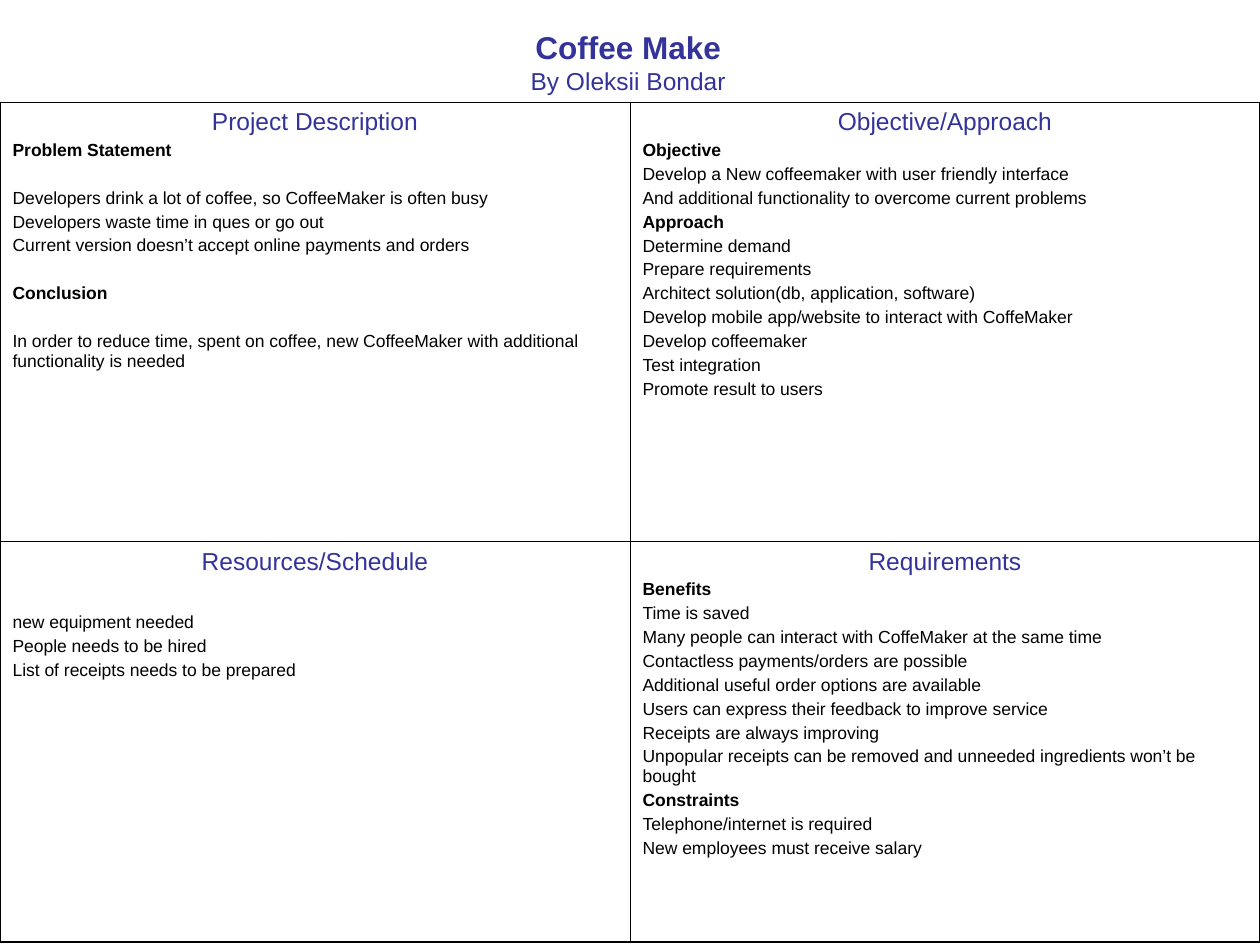
from lxml import etree
from pptx import Presentation
from pptx.dml.color import RGBColor
from pptx.enum import text
from pptx.oxml import ns
from pptx.util import Pt

INDIGO = RGBColor(0x33, 0x33, 0x99)
BLACK = RGBColor(0, 0, 0)
FONT = "Arial"
OUTER_LINE, INNER_LINE = Pt(1.08), Pt(0.45)
LINE_GAP, BLOCK_GAP, SECTION_GAP = 2.5, 16.15, 21.4

# Each quadrant: heading, then blocks of (gap above, bold label, lines, gap above lines)
QUADRANTS = [
    [
        ("Project Description", [
            (LINE_GAP, "Problem Statement", BLOCK_GAP, [
                "Developers drink a lot of coffee, so CoffeeMaker is often busy",
                "Developers waste time in ques or go out",
                "Current version doesn’t accept online payments and orders"]),
            (BLOCK_GAP, "Conclusion", BLOCK_GAP, [
                "In order to reduce time, spent on coffee, new CoffeeMaker "
                "with additional functionality is needed"]),
        ]),
        ("Objective/Approach", [
            (LINE_GAP, "Objective", LINE_GAP, [
                "Develop a New coffeemaker with user friendly interface",
                "And additional functionality to overcome current problems"]),
            (LINE_GAP, "Approach", LINE_GAP, [
                "Determine demand",
                "Prepare requirements",
                "Architect solution(db, application, software)",
                "Develop mobile app/website to interact with CoffeMaker",
                "Develop coffeemaker",
                "Test integration",
                "Promote result to users"]),
        ]),
    ],
    [
        ("Resources/Schedule", [
            (LINE_GAP, None, SECTION_GAP, [
                "new equipment needed",
                "People needs to be hired",
                "List of receipts needs to be prepared"]),
        ]),
        ("Requirements", [
            (LINE_GAP, "Benefits", LINE_GAP, [
                "Time is saved",
                "Many people can interact with CoffeMaker at the same time",
                "Contactless payments/orders are possible",
                "Additional useful order options are available",
                "Users can express their feedback to improve service",
                "Receipts are always improving",
                "Unpopular receipts can be removed and unneeded ingredients "
                "won’t be bought"]),
            (LINE_GAP, "Constraints", LINE_GAP, [
                "Telephone/internet is required",
                "New employees must receive salary"]),
        ]),
    ],
]


def write(paragraph, words, size, color, bold=False, gap=0, centered=False):
    paragraph.text = words
    paragraph.space_before = Pt(gap)
    paragraph.alignment = text.PP_ALIGN.CENTER if centered else text.PP_ALIGN.LEFT
    font = paragraph.font
    font.name, font.size, font.bold = FONT, Pt(size), bold
    font.color.rgb = color


def set_borders(cell, widths):
    """Draw black borders; widths are keyed by L, R, T and B in that order."""
    properties = cell._tc.get_or_add_tcPr()
    for side, width in widths.items():
        line = etree.SubElement(properties, ns.qn(f"a:ln{side}"), w=str(int(width)))
        fill = etree.SubElement(line, ns.qn("a:solidFill"))
        etree.SubElement(fill, ns.qn("a:srgbClr"), val=str(BLACK))


def add_title(slide, left, top, width, height):
    title = slide.shapes.title
    title.left, title.top, title.width, title.height = left, top, width, height
    frame = title.text_frame
    frame.auto_size = text.MSO_AUTO_SIZE.NONE
    frame.vertical_anchor = text.MSO_ANCHOR.TOP
    write(frame.paragraphs[0], "Coffee Make", 18, INDIGO, bold=True, centered=True)
    write(frame.add_paragraph(), "By Oleksii Bondar", 14, INDIGO, centered=True)


def fill_quadrant(cell, heading, blocks):
    frame = cell.text_frame
    write(frame.paragraphs[0], heading, 14, INDIGO, gap=3.5, centered=True)
    for label_gap, label, first_gap, lines in blocks:
        if label:
            write(frame.add_paragraph(), label, 10, BLACK, bold=True, gap=label_gap)
        for index, line in enumerate(lines):
            gap = LINE_GAP if index else first_gap
            write(frame.add_paragraph(), line, 10, BLACK, gap=gap)


def add_quadrants(slide, left, top, width, row_heights):
    table = slide.shapes.add_table(2, 2, left, top, width, sum(row_heights)).table
    table.first_row = table.horz_banding = False
    for row, height in zip(table.rows, row_heights):
        row.height = height
    for row, quadrants in enumerate(QUADRANTS):
        for column, (heading, blocks) in enumerate(quadrants):
            cell = table.cell(row, column)
            fill_quadrant(cell, heading, blocks)
            # Heavier line round the outside, hairline between quadrants
            set_borders(cell, {
                "L": INNER_LINE if column else OUTER_LINE,
                "R": OUTER_LINE if column else INNER_LINE,
                "T": INNER_LINE if row else OUTER_LINE,
                "B": OUTER_LINE if row else INNER_LINE,
            })
            cell.fill.background()


def main():
    presentation = Presentation()
    presentation.slide_width, presentation.slide_height = Pt(720), Pt(540)
    slide = presentation.slides.add_slide(presentation.slide_layouts[5])
    add_title(slide, Pt(59), Pt(12.25), Pt(600), Pt(46))
    add_quadrants(slide, Pt(0), Pt(58.5), Pt(720), [Pt(251), Pt(229)])
    presentation.save("out.pptx")


if __name__ == "__main__":
    main()
